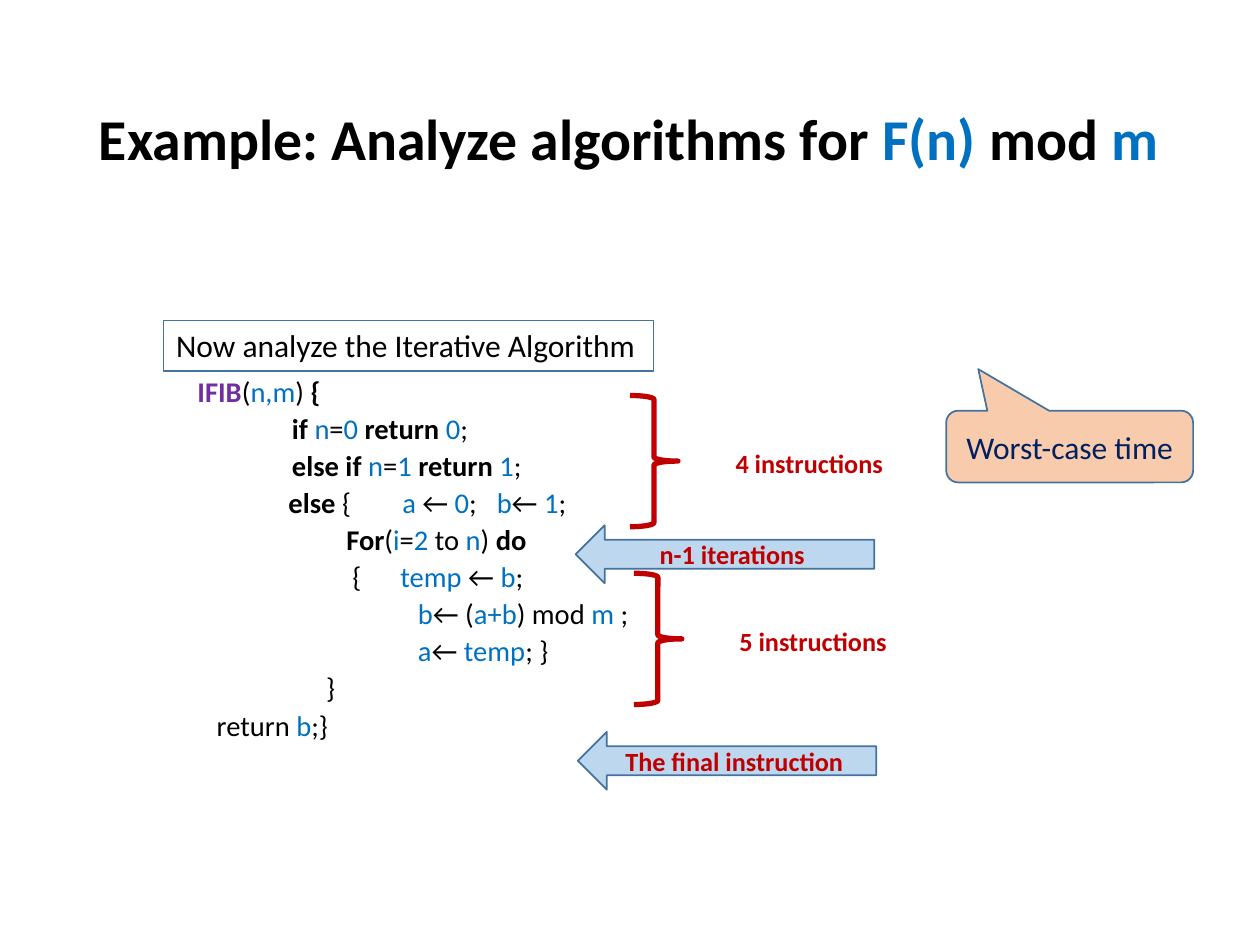
from pptx import Presentation
from pptx.dml.color import RGBColor
from pptx.enum.shapes import MSO_SHAPE
from pptx.enum.text import MSO_ANCHOR, PP_ALIGN
from pptx.oxml.ns import qn
from pptx.util import Pt
from lxml import etree

RECT, BRACE = MSO_SHAPE.RECTANGLE, MSO_SHAPE.RIGHT_BRACE
ARROW, CALL = MSO_SHAPE.LEFT_ARROW, MSO_SHAPE.ROUNDED_RECTANGULAR_CALLOUT
TOP, MID = MSO_ANCHOR.TOP, MSO_ANCHOR.MIDDLE
LEFT, MIDDLE = PP_ALIGN.LEFT, PP_ALIGN.CENTER

BLACK = RGBColor(0x00, 0x00, 0x00)
BLUE = RGBColor(0x00, 0x70, 0xC0)
PURPLE = RGBColor(0x70, 0x30, 0xA0)
RED = RGBColor(0xC0, 0x00, 0x00)
NAVY = RGBColor(0x00, 0x20, 0x60)
EDGE = RGBColor(0x43, 0x73, 0x9E)
PALE = RGBColor(0xBD, 0xD7, 0xEE)
PEACH = RGBColor(0xF8, 0xCB, 0xAD)
FONT = "Calibri"

# Run styles: colour, bold
TEXT, KEY = (BLACK, False), (BLACK, True)
VAR, NAME = (BLUE, False), (PURPLE, True)
MARK, NOTE = (BLUE, True), (RED, True)

TITLE = [("Example: Analyze algorithms for ", KEY), ("F(n) ", MARK),
         ("mod", KEY), (" m", MARK)]
LEAD = "Now analyze the Iterative Algorithm"

# Each line of code: tab stops, runs
CODE = [
    ((), [("IFIB", NAME), ("(", TEXT), ("n,m", VAR), (")", TEXT), (" {", KEY)]),
    ((54,), [("\tif ", KEY), ("n", VAR), ("=", TEXT), ("0 ", VAR),
             ("return ", KEY), ("0", VAR), (";", TEXT)]),
    ((54,), [("\telse if ", KEY), ("n", VAR), ("=", TEXT), ("1 ", VAR),
             ("return ", KEY), ("1", VAR), (";", TEXT)]),
    ((52, 117, 171), [("\telse", KEY), (" {", TEXT), ("\ta ", VAR), ("← ", TEXT),
                      ("0", VAR), (";", TEXT), ("\tb", VAR), ("← ", TEXT),
                      ("1", VAR), (";", TEXT)]),
    ((85,), [("\tFor", KEY), ("(", TEXT), ("i", VAR), ("=", TEXT), ("2", VAR),
             (" to ", TEXT), ("n", VAR), (") ", TEXT), ("do", KEY)]),
    ((88.5, 116), [("\t{", TEXT), ("\ttemp", VAR), (" ← ", TEXT), ("b", VAR),
                   (";", TEXT)]),
    ((126,), [("\tb", VAR), ("← (", TEXT), ("a+b", VAR), (") mod ", TEXT),
              ("m ", VAR), (";", TEXT)]),
    ((126,), [("\ta", VAR), ("← ", TEXT), ("temp", VAR), ("; }", TEXT)]),
    ((73.5,), [("\t}", TEXT)]),
    ((11,), [("\treturn ", TEXT), ("b", VAR), (";}", TEXT)]),
]
GROUPS = [("4 instructions", 360, 226), ("5 instructions", 362.2, 327.6)]
STEPS = [("n-1 iterations", 329, 300.2), ("The final instruction", 330.2, 418.2)]


def add_runs(para, runs, size):
    for text, (color, bold) in runs:
        run = para.add_run()
        run.text = text
        run.font.name, run.font.size = FONT, Pt(size)
        run.font.bold, run.font.color.rgb = bold, color


def set_tabs(para, stops):
    props = para._p.get_or_add_pPr()
    tabs = etree.SubElement(props, qn("a:tabLst"))
    for stop in stops:
        etree.SubElement(tabs, qn("a:tab"), pos=str(Pt(stop)), algn="l")


def add_box(slide, box, wrap=True):
    frame = slide.shapes.add_textbox(*map(Pt, box)).text_frame
    frame.word_wrap = wrap
    return frame


def add_form(slide, kind, box, line, width, fill=None):
    form = slide.shapes.add_shape(kind, *map(Pt, box))
    form.shadow.inherit = False
    form.line.color.rgb, form.line.width = line, Pt(width)
    if fill is None:
        form.fill.background()
    else:
        form.fill.solid()
        form.fill.fore_color.rgb = fill
    return form


def label(form, text, style, size, align=MIDDLE, anchor=MID):
    frame = form.text_frame
    frame.word_wrap, frame.vertical_anchor = True, anchor
    para = frame.paragraphs[0]
    para.alignment = align
    add_runs(para, [(text, style)], size)


def main():
    deck = Presentation()
    deck.slide_width, deck.slide_height = Pt(720), Pt(540)
    slide = deck.slides.add_slide(deck.slide_layouts[6])

    frame = add_box(slide, (49.5, 28.8, 621, 104.4))
    frame.vertical_anchor = MID
    frame.paragraphs[0].line_spacing = 0.9
    add_runs(frame.paragraphs[0], TITLE, 33)

    lead = add_form(slide, RECT, (93.6, 183, 280, 29), EDGE, 0.75)
    label(lead, LEAD, TEXT, 18, LEFT, TOP)

    frame = add_box(slide, (105.8, 215.3, 374.4, 229.7))
    for row, (stops, runs) in enumerate(CODE):
        para = frame.add_paragraph() if row else frame.paragraphs[0]
        para.line_spacing = 0.7
        para.space_before = Pt(7.5 if row else 0)
        if stops:
            set_tabs(para, stops)
        add_runs(para, runs, 16.3)

    for text, x, y in GROUPS:
        add_form(slide, BRACE, (x, y, 27.4, 75), RED, 3)
        frame = add_box(slide, (x + 53.2, y + 26, 99.4, 25.2), wrap=False)
        add_runs(frame.paragraphs[0], [(text, NOTE)], 15)

    for text, x, y in STEPS:
        arrow = add_form(slide, ARROW, (x, y, 170.6, 33.1), EDGE, 1, PALE)
        label(arrow, text, NOTE, 15)

    call = add_form(slide, CALL, (540.7, 234.7, 141.1, 41), EDGE, 1, PEACH)
    call.adjustments[0], call.adjustments[1] = -0.37, -1.08
    label(call, "Worst-case time", (NAVY, False), 18)

    deck.save("out.pptx")


if __name__ == "__main__":
    main()
